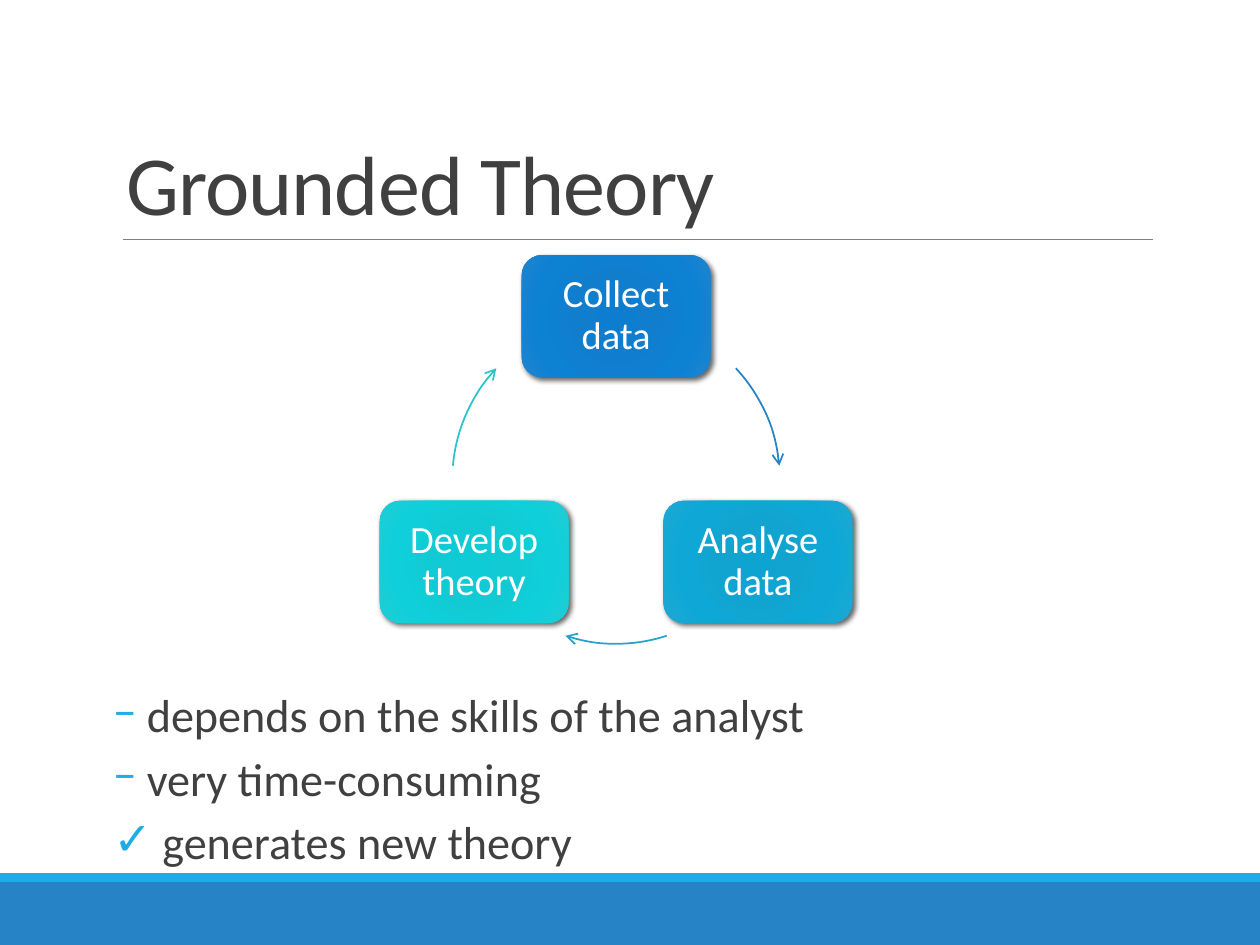
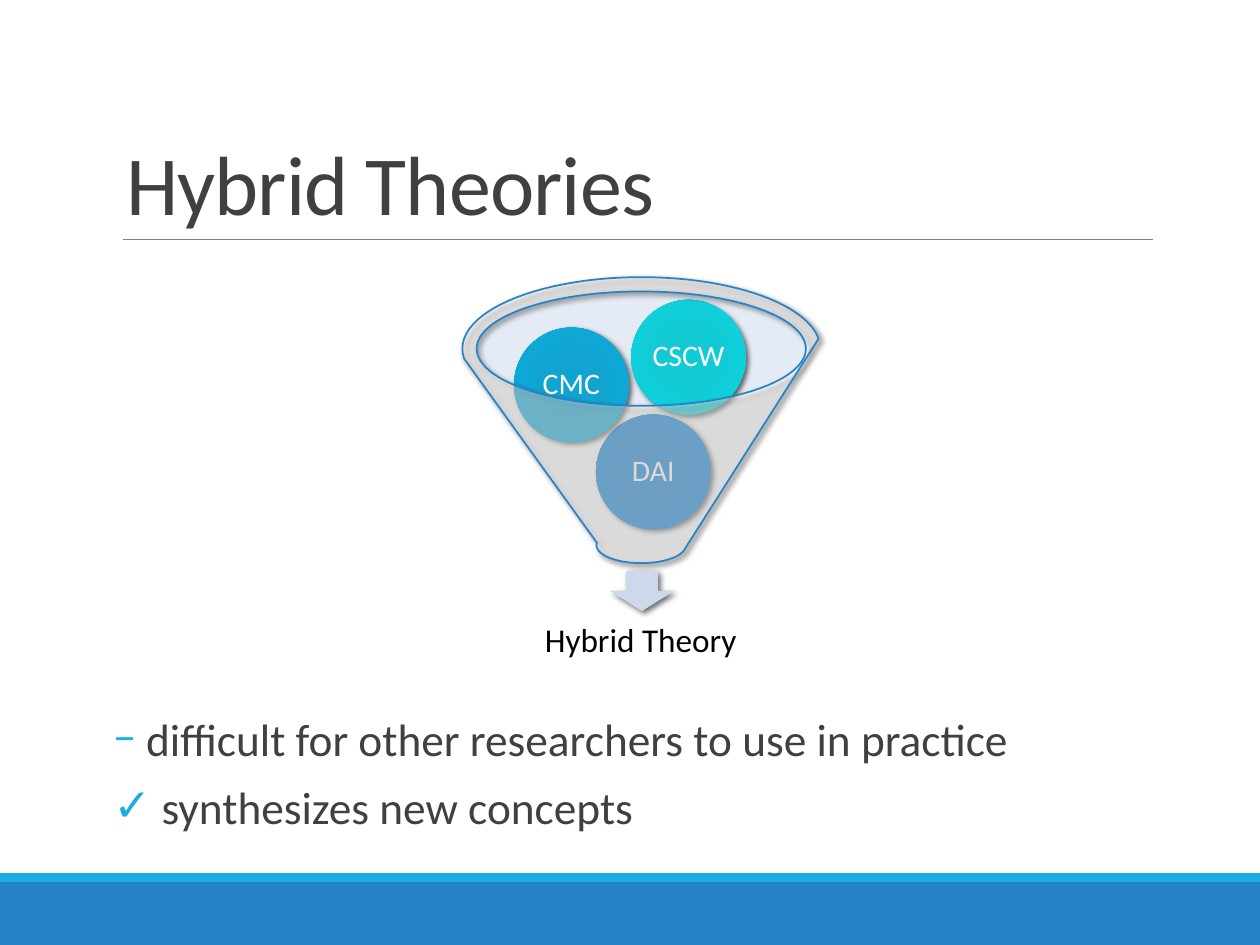
"""Two slides on theory building: a research cycle and a funnel of fields."""
import math

from pptx import Presentation
from pptx import util as u
from pptx.dml.color import RGBColor
from pptx.enum import shapes, text
from pptx.oxml import parse_xml
from pptx.oxml.ns import nsdecls, qn

Inches, Pt = u.Inches, u.Pt

FONT = "Calibri"
WHITE = RGBColor(0xFF, 0xFF, 0xFF)
BLACK = RGBColor(0x00, 0x00, 0x00)
INK = RGBColor(0x40, 0x40, 0x40)
RULE = RGBColor(0x80, 0x80, 0x80)
BLUE = RGBColor(0x26, 0x83, 0xC6)
SKY = RGBColor(0x1C, 0xAD, 0xE4)
CERULEAN = RGBColor(0x27, 0xA3, 0xC9)
TURQUOISE = RGBColor(0x28, 0xC4, 0xCC)
FUNNEL_MOUTH = RGBColor(0xBE, 0xCD, 0xE5)
PALE_BLUE = RGBColor(0xCD, 0xD9, 0xEA)

GLOW_STOPS = (0, 34, 70, 100)
BLUE_GLOW = (RGBColor(0x0D, 0x7E, 0xCF), RGBColor(0x11, 0x7E, 0xCD),
             RGBColor(0x0D, 0x81, 0xD4), RGBColor(0x1E, 0x84, 0xCE))
CERULEAN_GLOW = (RGBColor(0x0E, 0xA4, 0xD2), RGBColor(0x12, 0xA4, 0xD0),
                 RGBColor(0x0E, 0xA8, 0xD7), RGBColor(0x1F, 0xA7, 0xD1))
TURQUOISE_GLOW = (RGBColor(0x0E, 0xCB, 0xD5), RGBColor(0x12, 0xCA, 0xD3),
                  RGBColor(0x0F, 0xD0, 0xDA), RGBColor(0x20, 0xCB, 0xD4))

MINUS, CHECK = "\u2212", "\u2713"


def place(shape, left, top, width, height):
    """Move and size a shape, in inches."""
    shape.left, shape.top = Inches(left), Inches(top)
    shape.width, shape.height = Inches(width), Inches(height)


def add_run(paragraph, words, size, colour):
    """Add one formatted run and return it."""
    run = paragraph.add_run()
    run.text = words
    run.font.name, run.font.size = FONT, Pt(size)
    run.font.color.rgb = colour
    return run


def add_label(shape, words, size, colour, inset):
    """Centre a label in a shape."""
    frame = shape.text_frame
    frame.word_wrap = True
    frame.vertical_anchor = text.MSO_ANCHOR.MIDDLE
    frame.margin_left = frame.margin_right = Inches(inset)
    frame.margin_top = frame.margin_bottom = Inches(inset)
    paragraph = frame.paragraphs[0]
    paragraph.alignment = text.PP_ALIGN.CENTER
    paragraph.line_spacing = 0.9
    add_run(paragraph, words, size, colour)


def add_flat(slide, kind, left, top, width, height, fill, alpha=None):
    """Add a preset shape with a plain fill, no line and no shadow."""
    shape = slide.shapes.add_shape(kind, Inches(left), Inches(top),
                                   Inches(width), Inches(height))
    shape.fill.solid()
    shape.fill.fore_color.rgb = fill
    shape.line.fill.background()
    shape.shadow.inherit = False
    if alpha is not None:
        colour = shape.element.spPr.find(qn("a:solidFill"))[0]
        colour.append(parse_xml(
            f'<a:alpha {nsdecls("a")} val="{alpha * 1000}"/>'))
    return shape


def add_shadow(shape, blur=3):
    """Give a shape a soft shadow to the lower right."""
    effects = shape.element.spPr.find(qn("a:effectLst"))
    effects.append(parse_xml(
        f'<a:outerShdw {nsdecls("a")} blurRad="{Pt(blur)}" dist="{Pt(2)}" '
        'dir="2700000" algn="ctr" rotWithShape="0"><a:srgbClr val="000000">'
        '<a:alpha val="60000"/></a:srgbClr></a:outerShdw>'))


def add_glowing(slide, kind, left, top, width, height, glow):
    """Add a shadowed shape with a circular gradient."""
    shape = add_flat(slide, kind, left, top, width, height, glow[0])
    stops = "".join(
        f'<a:gs pos="{stop * 1000}"><a:srgbClr val="{colour}"/></a:gs>'
        for stop, colour in zip(GLOW_STOPS, glow))
    gradient = parse_xml(
        f'<a:gradFill {nsdecls("a")} rotWithShape="1"><a:gsLst>{stops}</a:gsLst>'
        '<a:path path="circle"><a:fillToRect l="100000" t="100000" '
        'r="100000" b="100000"/></a:path></a:gradFill>')
    properties = shape.element.spPr
    properties.replace(properties.find(qn("a:solidFill")), gradient)
    add_shadow(shape)
    return shape


def add_arc_arrow(slide, centre, radius, start, end, colour):
    """Add a clockwise arc between two angles in degrees, with an arrowhead."""
    arc = slide.shapes.add_shape(
        shapes.MSO_SHAPE.ARC, Inches(centre[0] - radius),
        Inches(centre[1] - radius), Inches(2 * radius), Inches(2 * radius))
    # Angles are stored in 60000ths of a degree, adjustments in 100000ths.
    arc.adjustments[0], arc.adjustments[1] = start % 360 * 0.6, end % 360 * 0.6
    arc.fill.background()
    arc.line.color.rgb, arc.line.width = colour, Pt(1)
    arc.shadow.inherit = False
    arc.element.spPr.find(qn("a:ln")).append(
        parse_xml(f'<a:tailEnd {nsdecls("a")} type="arrow"/>'))


def decorate_layout(layout, slide):
    """Draw the bands and the title rule, and hand them to the layout."""
    rectangle = shapes.MSO_SHAPE.RECTANGLE
    band = add_flat(slide, rectangle, 0, 7, 10, 0.5, BLUE)
    stripe = add_flat(slide, rectangle, 0, 6.93, 10, 0.07, SKY)
    rule = slide.shapes.add_connector(
        shapes.MSO_CONNECTOR.STRAIGHT,
        Inches(0.98), Inches(1.9), Inches(9.15), Inches(1.9))
    rule.line.color.rgb, rule.line.width = RULE, Pt(0.5)
    rule.element.spPr.append(parse_xml(f'<a:effectLst {nsdecls("a")}/>'))
    for position, part in enumerate((band, stripe, rule), start=2):
        layout.shapes.element.insert(position, part.element)


def set_title(slide, words):
    """Fill and format the title placeholder."""
    title = slide.shapes.title
    place(title, 0.9, 0.31, 8.25, 1.59)
    frame = title.text_frame
    frame.vertical_anchor = text.MSO_ANCHOR.BOTTOM
    frame.auto_size = text.MSO_AUTO_SIZE.NONE
    paragraph = frame.paragraphs[0]
    paragraph.alignment = text.PP_ALIGN.LEFT
    paragraph.line_spacing = 0.85
    run = add_run(paragraph, words, 48, INK)
    run.font._element.set("spc", "-50")


def set_points(slide, points, top, height, size, spacing):
    """Fill the body placeholder with (bullet, words) points."""
    body = slide.placeholders[1]
    place(body, 0.9, top, 8.25, height)
    frame = body.text_frame
    frame.auto_size = text.MSO_AUTO_SIZE.NONE
    frame.vertical_anchor = text.MSO_ANCHOR.TOP
    frame.margin_left = frame.margin_right = 0
    frame.margin_top = frame.margin_bottom = Inches(0.05)
    for index, (bullet, words) in enumerate(points):
        paragraph = frame.add_paragraph() if index else frame.paragraphs[0]
        paragraph.line_spacing = spacing
        paragraph.space_before = Pt(12 if index else 0)
        paragraph.space_after = Pt(2)
        properties = paragraph._p.get_or_add_pPr()
        properties.set("marL", str(Inches(0.1)))
        properties.set("indent", str(Inches(-0.1)))
        properties.append(parse_xml(
            f'<a:buClr {nsdecls("a")}><a:srgbClr val="{SKY}"/></a:buClr>'))
        properties.append(parse_xml(
            f'<a:buFont {nsdecls("a")} typeface="{FONT}"/>'))
        properties.append(parse_xml(
            f'<a:buChar {nsdecls("a")} char="{bullet}"/>'))
        add_run(paragraph, " " + words, size, INK)


def draw_cycle(slide):
    """Draw three steps on a circle, joined by arc arrows."""
    centre, radius = (4.89, 3.81), 1.3
    width, height = 1.5, 0.97
    steps = (
        ("Collect data", BLUE_GLOW, -90, BLUE, (-43, -5)),
        ("Analyse data", CERULEAN_GLOW, 30, CERULEAN, (72, 108)),
        ("Develop theory", TURQUOISE_GLOW, 150, TURQUOISE, (185, 223)),
    )
    for words, glow, angle, arrow_colour, (start, end) in steps:
        x = centre[0] + radius * math.cos(math.radians(angle))
        y = centre[1] + radius * math.sin(math.radians(angle))
        step = add_glowing(slide, shapes.MSO_SHAPE.ROUNDED_RECTANGLE,
                           x - width / 2, y - height / 2, width, height, glow)
        add_label(step, words, 22, WHITE, 0.09)
        add_arc_arrow(slide, centre, radius, start, end, arrow_colour)


def draw_funnel(slide):
    """Draw three fields in a funnel that leads to one theory."""
    kinds = shapes.MSO_SHAPE
    add_flat(slide, kinds.OVAL, 3.78, 2.31, 2.62, 0.91, FUNNEL_MOUTH, alpha=40)
    outlet = add_flat(slide, kinds.DOWN_ARROW, 4.84, 4.53, 0.51, 0.32, PALE_BLUE)
    add_shadow(outlet, blur=3.5)
    result = slide.shapes.add_textbox(Inches(3.87), Inches(4.79),
                                      Inches(2.43), Inches(0.61))
    add_label(result, "Hybrid Theory", 19, BLACK, 0.15)

    diameter = 0.91
    fields = (("DAI", 4.73, 3.29, BLUE_GLOW),
              ("CMC", 4.08, 2.6, CERULEAN_GLOW),
              ("CSCW", 5.01, 2.38, TURQUOISE_GLOW))
    for words, left, top, glow in fields:
        field = add_glowing(slide, kinds.OVAL, left, top, diameter, diameter, glow)
        add_label(field, words, 17, WHITE, 0.02)

    funnel = add_flat(slide, kinds.FUNNEL, 3.67, 2.2, 2.84, 2.27, WHITE, alpha=40)
    funnel.line.color.rgb, funnel.line.width = BLUE, Pt(1)
    add_shadow(funnel)


def main():
    """Build and save both slides."""
    deck = Presentation()
    deck.slide_width, deck.slide_height = Inches(10), Inches(7.5)
    layout = deck.slide_layouts[1]

    grounded = deck.slides.add_slide(layout)
    decorate_layout(layout, grounded)
    set_title(grounded, "Grounded Theory")
    set_points(grounded, ((MINUS, "depends on the skills of the analyst"),
                          (MINUS, "very time-consuming"),
                          (CHECK, "generates new theory")),
               top=5.52, height=1.4, size=26.4, spacing=0.7)
    draw_cycle(grounded)

    hybrid = deck.slides.add_slide(layout)
    set_title(hybrid, "Hybrid Theories")
    set_points(hybrid, ((MINUS, "difficult for other researchers to use in practice"),
                        (CHECK, "synthesizes new concepts")),
               top=5.68, height=1.05, size=25.9, spacing=0.8)
    draw_funnel(hybrid)

    deck.save("out.pptx")


if __name__ == "__main__":
    main()
